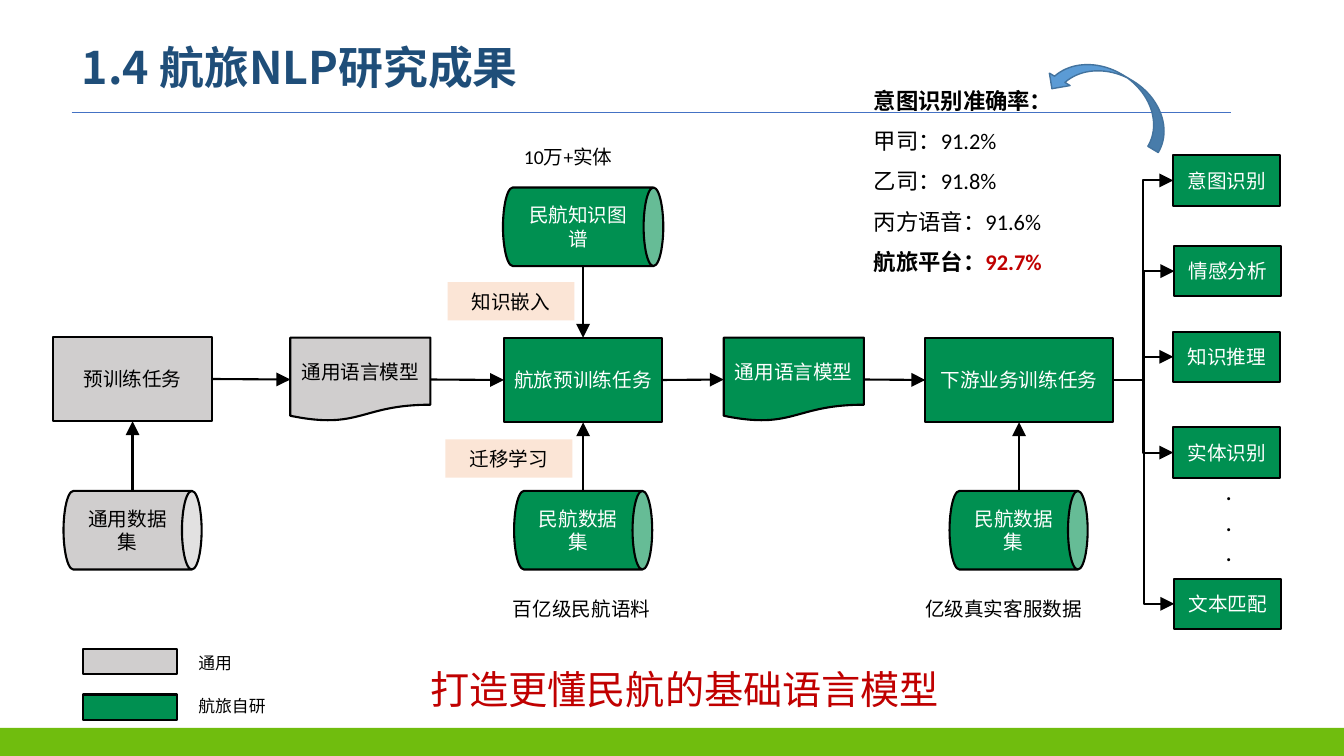
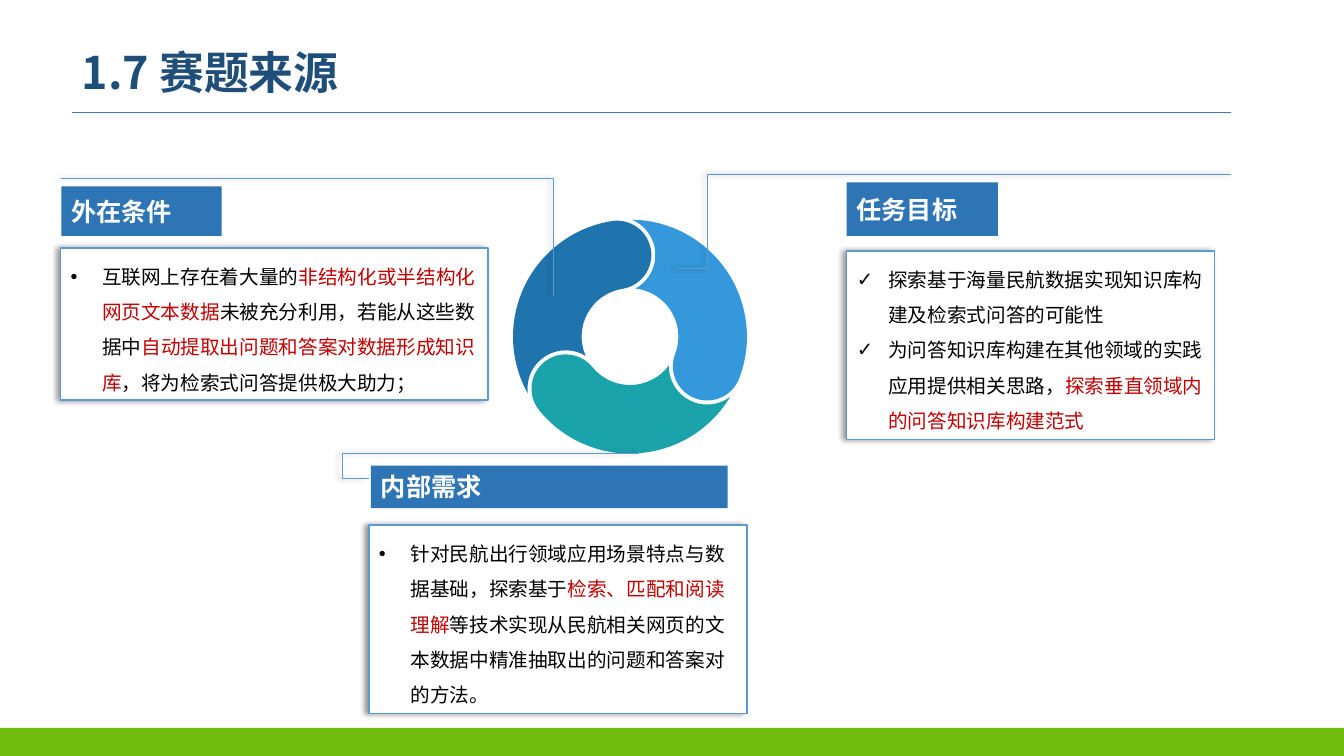
from dataclasses import dataclass
from math import acos, atan2, cos, degrees, radians, sin, tan

from lxml.etree import SubElement
from pptx import Presentation
from pptx.dml.color import RGBColor
from pptx.enum.shapes import MSO_CONNECTOR, MSO_SHAPE
from pptx.enum.text import MSO_ANCHOR, MSO_AUTO_SIZE, PP_ALIGN
from pptx.oxml.ns import qn
from pptx.util import Inches, Pt

Frame = tuple[float, float, float, float]
Point = tuple[float, float]
PAGE_WIDTH = 40 / 3


@dataclass(frozen=True)
class Theme:
    title: str = "1F4E79"
    rule: str = "4472C4"
    band: str = "70BD0E"
    black: str = "000000"
    white: str = "FFFFFF"
    red: str = "C00000"
    general: str = "D0CECE"
    own: str = "009051"
    method: str = "FBE5D6"
    heading: str = "2E75B6"
    accent: str = "5B9BD5"
    accent_edge: str = "43739E"
    ring: tuple[str, str, str] = ("1F74AD", "3498DB", "1AA3AA")
    latin: str = "Calibri"
    chinese: str = "Noto Sans CJK SC"
    title_size: int = 32
    slogan_size: int = 28
    heading_size: int = 18
    rate_size: int = 16
    text_size: int = 14
    legend_size: int = 12


THEME = Theme()


@dataclass(frozen=True)
class Style:
    size: int = THEME.text_size
    color: str = THEME.black
    font: str = THEME.latin
    bold: bool = False
    align: PP_ALIGN = PP_ALIGN.LEFT
    spacing: float = 1.0
    bullet: str = ""


@dataclass(frozen=True)
class Span:
    text: str
    red: bool = False


@dataclass(frozen=True)
class Node:
    name: str
    text: str
    frame: Frame
    kind: MSO_SHAPE = MSO_SHAPE.RECTANGLE
    fill: str = THEME.own


@dataclass(frozen=True)
class Label:
    lines: tuple
    frame: Frame
    style: Style = Style()
    wrap: bool = True


@dataclass(frozen=True)
class Topic:
    title: str
    heading: Frame
    body: Frame
    placeholder: int
    bullet: str
    items: tuple[tuple[Span, ...], ...]


@dataclass(frozen=True)
class Leader:
    start: Point
    end: Point
    adjustments: tuple[int, ...]


def color(value: str) -> RGBColor:
    return RGBColor.from_string(value)


def inches(values: tuple[float, ...]) -> list[int]:
    return [Inches(value) for value in values]


def set_shadow(shape, visible: bool = False) -> None:
    properties = shape._element.spPr
    effects = properties.find(qn("a:effectLst"))
    if effects is None:
        effects = SubElement(properties, qn("a:effectLst"))
    if visible:
        shadow = SubElement(effects, qn("a:outerShdw"), blurRad="50800", dist="38100",
                            dir="10800000", algn="r", rotWithShape="0")
        tint = SubElement(shadow, qn("a:srgbClr"), val=THEME.black)
        SubElement(tint, qn("a:alpha"), val="40000")


def paint(shape, fill: str, line: str = "", width: float = 1.5, shadow: bool = False) -> None:
    shape.fill.solid()
    shape.fill.fore_color.rgb = color(fill)
    if line:
        shape.line.color.rgb = color(line)
        shape.line.width = Pt(width)
    else:
        shape.line.fill.background()
    set_shadow(shape, shadow)


def write(shape, lines, style: Style, anchor=MSO_ANCHOR.TOP, wrap: bool = True) -> None:
    frame = shape.text_frame
    frame.auto_size = MSO_AUTO_SIZE.NONE
    frame.word_wrap = wrap
    frame.vertical_anchor = anchor
    for index, line in enumerate(lines):
        para = frame.add_paragraph() if index else frame.paragraphs[0]
        para.alignment = style.align
        para.line_spacing = style.spacing
        para.space_before = Pt(0)
        if style.bullet:
            properties = para._p.get_or_add_pPr()
            properties.set("marL", str(Pt(22.5)))
            properties.set("indent", str(Pt(-22.5)))
            SubElement(properties, qn("a:buChar"), char=style.bullet)
        font = para.font
        font.name, font.size, font.bold = style.font, Pt(style.size), style.bold
        font.color.rgb = color(style.color)
        SubElement(font._rPr, qn("a:ea"), typeface=THEME.chinese)
        for part in (Span(line),) if isinstance(line, str) else line:
            span = para.add_run()
            span.text = part.text
            if part.red:
                span.font.color.rgb = color(THEME.red)


def add_block(page, kind, frame: Frame, fill: str, line: str = "", width: float = 1.5):
    shape = page.shapes.add_shape(kind, *inches(frame))
    paint(shape, fill, line, width)
    return shape


def add_label(page, label: Label):
    box = page.shapes.add_textbox(*inches(label.frame))
    write(box, label.lines, label.style, wrap=label.wrap)
    return box


def add_line(page, start: Point, end: Point, line: str, width: float,
             kind=MSO_CONNECTOR.STRAIGHT, shadow: bool = False):
    connector = page.shapes.add_connector(kind, *inches(start + end))
    connector.line.color.rgb = color(line)
    connector.line.width = Pt(width)
    set_shadow(connector, shadow)
    return connector


def add_arrow(page, start: Point, end: Point, kind=MSO_CONNECTOR.STRAIGHT):
    arrow = add_line(page, start, end, THEME.black, 1.5, kind)
    SubElement(arrow.line._get_or_add_ln(), qn("a:tailEnd"), type="triangle", w="lg", len="lg")
    return arrow


def add_page(deck, layout: int, title: str, top: float):
    page = deck.slides.add_slide(deck.slide_layouts[layout])
    box = page.shapes.title
    box.left, box.top, box.width, box.height = inches((0.71, top, 9.3, 0.59))
    style = Style(THEME.title_size, THEME.title, THEME.chinese, True, spacing=0.9)
    write(box, [title], style, MSO_ANCHOR.MIDDLE)
    return page


def move_to_master(deck, shapes) -> None:
    for number, shape in enumerate(shapes, 50):
        element = shape._element
        element.xpath(".//p:cNvPr")[0].set("id", str(number))
        deck.slide_master.shapes._spTree.append(element)


def add_node(page, node: Node):
    left, top, width, height = node.frame
    is_can = node.kind == MSO_SHAPE.CAN
    shift = (width - height) / 2
    frame = (left + shift, top - shift, height, width) if is_can else node.frame
    shape = add_block(page, node.kind, frame, node.fill, THEME.black)
    if is_can:
        shape.rotation = 90
        shape.text_frame._txBody.bodyPr.set("vert", "vert270")
    ink = THEME.black if node.fill == THEME.general else THEME.white
    write(shape, [node.text], Style(color=ink, align=PP_ALIGN.CENTER), MSO_ANCHOR.MIDDLE)
    return shape


def build_results(deck) -> None:
    page = add_page(deck, 5, "1.4 航旅NLP研究成果", 0.4)
    rule = add_line(page, (0.71, 1.11), (12.21, 1.11), THEME.rule, 0.5)
    band = add_block(page, MSO_SHAPE.RECTANGLE, (0, 7.22, PAGE_WIDTH, 0.28), THEME.band)
    move_to_master(deck, (rule, band))

    document, can = MSO_SHAPE.FLOWCHART_DOCUMENT, MSO_SHAPE.CAN
    nodes = (
        Node("general task", "预训练任务", (0.53, 3.34, 1.57, 0.84), fill=THEME.general),
        Node("general model", "通用语言模型", (2.88, 3.35, 1.39, 0.83), document, THEME.general),
        Node("travel task", "航旅预训练任务", (5, 3.35, 1.57, 0.84)),
        Node("travel model", "通用语言模型", (7.18, 3.35, 1.39, 0.83), document),
        Node("business task", "下游业务训练任务", (9.18, 3.35, 1.86, 0.84)),
        Node("general data", "通用数据集", (0.63, 4.87, 1.37, 0.78), can, THEME.general),
        Node("aviation data", "民航数据集", (5.1, 4.87, 1.37, 0.78), can),
        Node("service data", "民航数据集", (9.42, 4.87, 1.37, 0.78), can),
        Node("knowledge", "民航知识图谱", (4.99, 1.86, 1.59, 0.78), can),
    )
    shapes = {node.name: add_node(page, node) for node in nodes}

    chain = [shapes[node.name] for node in nodes[:5]]
    for source, target in zip(chain, chain[1:]):
        arrow = add_arrow(page, (0, 0), (1, 1))
        arrow.begin_connect(source, 3)
        arrow.end_connect(target, 1)
    for task, start, side in ((nodes[0], 4.87, 2), (nodes[2], 4.87, 2),
                              (nodes[4], 4.87, 2), (nodes[2], 2.64, 0)):
        x = task.frame[0] + task.frame[2] / 2
        add_arrow(page, (x, start), (x, 3.77)).end_connect(shapes[task.name], side)

    for text, left, top in (("意图识别", 11.64, 1.54), ("情感分析", 11.65, 2.44),
                            ("知识推理", 11.64, 3.29), ("实体识别", 11.64, 4.24),
                            ("文本匹配", 11.65, 5.74)):
        task = add_node(page, Node(text, text, (left, top, 1.06, 0.5)))
        arrow = add_arrow(page, (11.04, 3.77), (left, top + 0.25), MSO_CONNECTOR.ELBOW)
        arrow.begin_connect(shapes["business task"], 3)
        arrow.end_connect(task, 1)

    for text, left, top in (("知识嵌入", 4.44, 2.8), ("迁移学习", 4.42, 4.36)):
        method = add_block(page, MSO_SHAPE.RECTANGLE, (left, top, 1.26, 0.38), THEME.method)
        write(method, [text], Style(align=PP_ALIGN.CENTER), MSO_ANCHOR.MIDDLE)

    for text, fill, top, text_top, width in (("通用", THEME.general, 6.44, 6.43, 0.57),
                                             ("航旅自研", THEME.own, 6.89, 6.85, 0.99)):
        add_block(page, MSO_SHAPE.RECTANGLE, (0.82, top, 0.94, 0.25), fill, THEME.black)
        add_label(page, Label((text,), (1.87, text_top, width, 0.3), Style(THEME.legend_size)))

    for label in (
        Label(("10万+实体",), (5.1, 1.39, 1.48, 0.34)),
        Label(("百亿级民航语料",), (4.99, 5.87, 1.96, 0.34)),
        Label(("亿级真实客服数据",), (9.08, 5.87, 1.96, 0.34)),
        Label((".",) * 3, (12.06, 4.67, 0.53, 1.01), Style(THEME.heading_size)),
        Label(("打造更懂民航的基础语言模型",), (4.17, 6.55, 5.26, 0.57),
              Style(THEME.slogan_size, THEME.red, THEME.chinese), False),
    ):
        add_label(page, label)
    rates = add_label(page, Label(
        ("意图识别准确率：", "甲司：91.2%", "乙司：91.8%", "丙方语音：91.6%",
         (Span("航旅平台："), Span("92.7%", True))), (8.57, 0.68, 2.32, 2.12),
        Style(THEME.rate_size, spacing=1.5)))
    for index in (0, -1):
        rates.text_frame.paragraphs[index].font.bold = True

    pointer = add_block(page, MSO_SHAPE.CURVED_UP_ARROW, (10.36, 0.72, 1.35, 0.48),
                        THEME.accent, THEME.accent_edge, 1)
    pointer.rotation = 211


def polar(center: Point, radius: float, angle: float) -> Point:
    turn = radians(angle)
    return center[0] + radius * sin(turn), center[1] - radius * cos(turn)


def arc(center: Point, radius: float, start: float, end: float, pieces: int = 4) -> list[Point]:
    step = (end - start) / pieces
    reach = 4 / 3 * tan(radians(step) / 4) * radius
    points = []
    for index in range(pieces):
        first, last = start + step * index, start + step * (index + 1)
        points += [polar(polar(center, radius, first), reach, first + 90),
                   polar(polar(center, radius, last), -reach, last + 90),
                   polar(center, radius, last)]
    return points


def curve_outline(shape) -> None:
    outline = shape._element.find(".//" + qn("a:path"))
    segments = outline.findall(qn("a:lnTo"))
    closing = outline.find(qn("a:close"))
    for index in range(0, len(segments), 3):
        curve = SubElement(outline, qn("a:cubicBezTo"))
        closing.addprevious(curve)
        for segment in segments[index:index + 3]:
            curve.append(segment[0])
            outline.remove(segment)


def add_ring(page, center: Point, outer: float, inner: float, gap: float, first: float) -> None:
    middle, head = (outer + inner) / 2, (outer - inner) / 2
    notch = head + gap

    def crossing(radius: float) -> tuple[float, float]:
        turn = acos((radius**2 + middle**2 - notch**2) / (2 * radius * middle))
        return degrees(turn), degrees(atan2(radius * sin(turn), radius * cos(turn) - middle))

    outer_turn, outer_notch = crossing(outer)
    inner_turn, inner_notch = crossing(inner)
    for index, fill in enumerate(THEME.ring):
        tip = first + 120 * index
        tail = tip - 120
        points = ([polar(center, outer, tail + outer_turn)]
                  + arc(center, outer, tail + outer_turn, tip)
                  + arc(polar(center, middle, tip), head, tip, tip + 180)
                  + arc(center, inner, tip, tail + inner_turn)
                  + arc(polar(center, middle, tail), notch, tail + inner_notch, tail + outer_notch))
        scaled = [(round(x * 1000), round(y * 1000)) for x, y in points]
        builder = page.shapes.build_freeform(*scaled[0], scale=Inches(1) / 1000)
        builder.add_line_segments(scaled[1:-1], close=False)
        builder.add_line_segments(scaled[-1:], close=True)
        segment = builder.convert_to_shape()
        curve_outline(segment)
        paint(segment, fill)


def add_leader(page, leader: Leader) -> None:
    line = add_line(page, leader.start, leader.end, THEME.accent, 0.5, MSO_CONNECTOR.ELBOW, True)
    geometry = line._element.spPr.find(qn("a:prstGeom"))
    geometry.set("prst", f"bentConnector{len(leader.adjustments) + 2}")
    guides = geometry.find(qn("a:avLst"))
    if guides is None:
        guides = SubElement(geometry, qn("a:avLst"))
    for number, value in enumerate(leader.adjustments, 1):
        SubElement(guides, qn("a:gd"), name=f"adj{number}", fmla=f"val {value}")


def add_topic(page, topic: Topic) -> None:
    heading = add_block(page, MSO_SHAPE.RECTANGLE, topic.heading, THEME.heading)
    write(heading, [topic.title], Style(THEME.heading_size, THEME.white, THEME.chinese, True),
          MSO_ANCHOR.MIDDLE)
    body = page.placeholders[topic.placeholder]
    body.left, body.top, body.width, body.height = inches(topic.body)
    paint(body, THEME.white, THEME.accent, 1, True)
    write(body, topic.items, Style(font=THEME.chinese, spacing=1.5, bullet=topic.bullet))


def build_sources(deck) -> None:
    page = add_page(deck, 4, "1.7 赛题来源", 0.45)
    add_ring(page, (6.25, 3.34), 1.16, 0.48, 0.04, -9)
    for leader in (Leader((0.61, 1.77), (5.49, 2.94), (100000,)),
                   Leader((12.21, 1.73), (6.71, 2.66), (94400,)),
                   Leader((3.66, 4.75), (6.33, 4.47), (-9800, 90000))):
        add_leader(page, leader)
    for topic in (
        Topic("外在条件", (0.61, 1.85, 1.59, 0.49), (0.6, 2.46, 4.24, 1.51), 2, "•", (
            (Span("互联网上存在着大量的"), Span("非结构化或半结构化网页文本数据", True),
             Span("未被充分利用，若能从这些数据中"), Span("自动提取出问题和答案对数据形成知识库", True),
             Span("，将为检索式问答提供极大助力；")),)),
        Topic("任务目标", (8.4, 1.81, 1.5, 0.53), (8.4, 2.49, 3.65, 1.87), 4, "✓", (
            (Span("探索基于海量民航数据实现知识库构建及检索式问答的可能性"),),
            (Span("为问答知识库构建在其他领域的实践应用提供相关思路，"),
             Span("探索垂直领域内的问答知识库构建范式", True)))),
        Topic("内部需求", (3.68, 4.62, 3.54, 0.42), (3.66, 5.21, 3.75, 1.87), 1, "•", (
            (Span("针对民航出行领域应用场景特点与数据基础，探索基于"), Span("检索、匹配和阅读理解", True),
             Span("等技术实现从民航相关网页的文本数据中精准抽取出的问题和答案对的方法。")),)),
    ):
        add_topic(page, topic)
    unused = page.placeholders[3]._element
    unused.getparent().remove(unused)


def main() -> None:
    deck = Presentation()
    deck.slide_width, deck.slide_height = Inches(PAGE_WIDTH), Inches(7.5)
    build_results(deck)
    build_sources(deck)
    deck.save("out.pptx")


if __name__ == "__main__":
    main()
